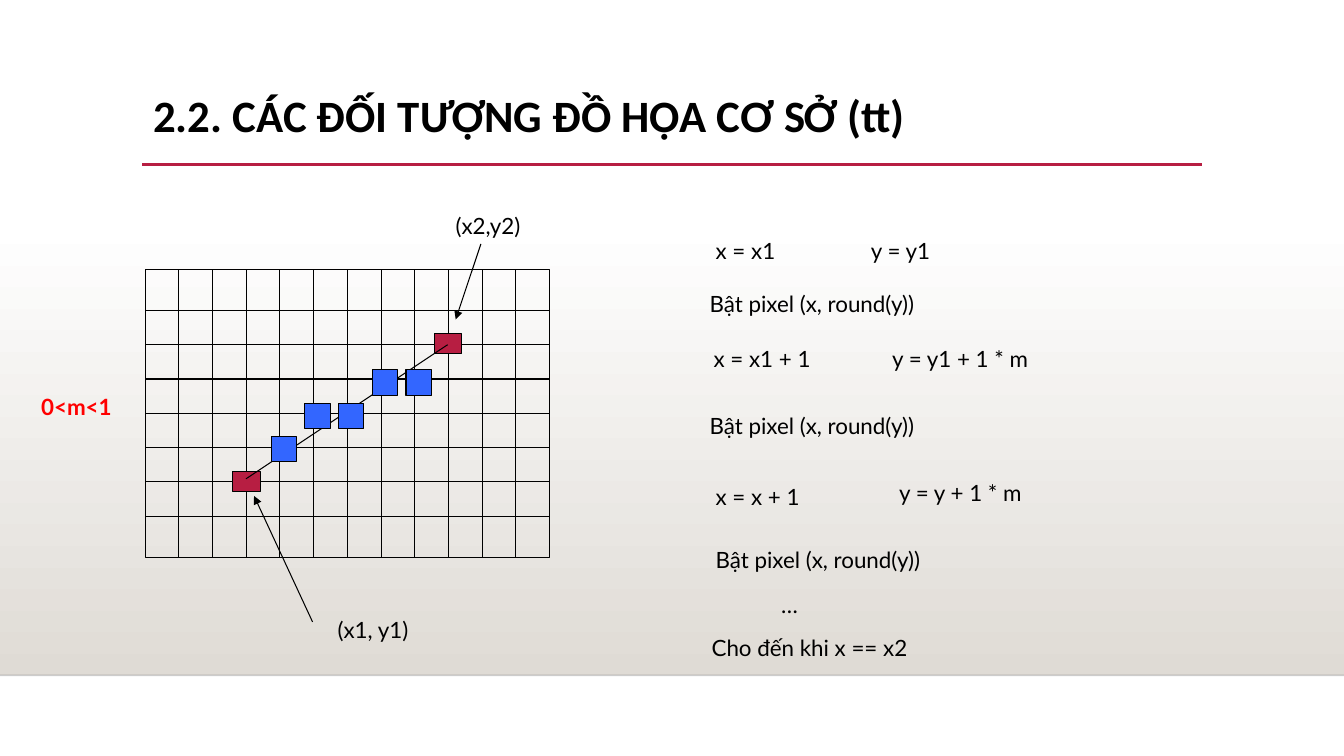
"""Builds the slide on drawing a line pixel by pixel."""
import pptx
import pptx.util
import pptx.dml.color
import pptx.enum.shapes
import pptx.enum.text
import pptx.oxml.ns
import lxml.etree

Inches = pptx.util.Inches
Pt = pptx.util.Pt
color = pptx.dml.color.RGBColor.from_string
qn = pptx.oxml.ns.qn
rect = pptx.enum.shapes.MSO_SHAPE.RECTANGLE

deck = pptx.Presentation()
deck.slide_width = Inches(13.33)
deck.slide_height = Inches(7.5)
slide = deck.slides.add_slide(deck.slide_layouts[5])
shapes = slide.shapes


def write(frame, text, size=16, font="Lato", ink="000000", bold=False, tab=None):
    para = frame.paragraphs[0]
    para.text = text
    para.alignment = pptx.enum.text.PP_ALIGN.LEFT
    if tab:
        stops = lxml.etree.SubElement(para._p.get_or_add_pPr(), qn("a:tabLst"))
        lxml.etree.SubElement(stops, qn("a:tab"), pos=str(Inches(tab)), algn="l")
    para.font.name = font
    para.font.size = Pt(size)
    para.font.bold = bold
    para.font.color.rgb = color(ink)
    return para


def draw(x1, y1, x2, y2, ink="000000", width=0.75, arrow=False, alpha=None):
    ends = [Inches(v) for v in (x1, y1, x2, y2)]
    line = shapes.add_connector(pptx.enum.shapes.MSO_CONNECTOR.STRAIGHT, *ends)
    line.line.color.rgb = color(ink)
    line.line.width = Pt(width)
    props = line._element.spPr
    if alpha:
        tint = props.find(".//" + qn("a:srgbClr"))
        lxml.etree.SubElement(tint, qn("a:alpha"), val=str(alpha * 1000))
    if arrow:
        lxml.etree.SubElement(props.find(qn("a:ln")), qn("a:tailEnd"), type="triangle")
    lxml.etree.SubElement(props, qn("a:effectLst"))


shade = shapes.add_shape(rect, 0, Inches(2.21), deck.slide_width, Inches(4.49))
shade.shadow.inherit = False
shade.line.fill.background()
shade.fill.gradient()
shade.fill.gradient_angle = 270
for stop, tone, place in zip(shade.fill.gradient_stops, ("FFFFFF", "DFDBD5"), (0, 1)):
    stop.color.rgb = color(tone)
    stop.position = place
draw(0, 6.7, 13.33, 6.7, ink="000001", width=1, alpha=20)

title = shapes.title
title.left, title.top = Inches(1.42), Inches(0.88)
title.width, title.height = Inches(10.5), Inches(1.15)
title.text_frame.auto_size = pptx.enum.text.MSO_AUTO_SIZE.NONE
title.text_frame.vertical_anchor = pptx.enum.text.MSO_ANCHOR.TOP
head = write(title.text_frame, "2.2. CÁC ĐỐI TƯỢNG ĐỒ HỌA CƠ SỞ (tt)",
             size=32, font="Calibri", bold=True)
head.line_spacing = 0.9
draw(1.41, 1.63, 11.92, 1.63, ink="B71E42", width=2.5)

left, top, wide, high = 1.44, 2.67, 4.01, 2.86
step = wide / 12
for col in range(1, 12):
    x = left + col * step
    draw(x, top, x, top + high)
for row in range(7):
    y = 3.08 + row * 0.34
    draw(left, y, left + wide, y)

boxes = [(left, top, wide, high, None)]
boxes += [(x, y, 0.27, 0.2, "B71E42") for x, y in ((2.31, 4.68), (4.31, 3.31))]
blues = [(2.69 + i * step, 4.33 - (i + 1) // 2 * 0.33, 0.25, 0.25, "3366FF")
         for i in range(5)]
for group in (boxes, blues):
    for x, y, w, h, fill in group:
        box = shapes.add_shape(rect, Inches(x), Inches(y), Inches(w), Inches(h))
        box.shadow.inherit = False
        box.line.color.rgb = color("000000")
        box.line.width = Pt(0.75)
        if fill:
            box.fill.solid()
            box.fill.fore_color.rgb = color(fill)
        else:
            box.fill.background()
    if group is boxes:
        draw(2.44, 4.75, 4.44, 3.42)

draw(3.1, 6.17, 2.52, 4.92, arrow=True)
draw(4.77, 2.42, 4.52, 3.17, arrow=True)

pixel = "Bật pixel (x, round(y))"
labels = [
    (4.42, 2.06, 0.91, "(x2,y2)", {}),
    (3.25, 6.06, 0.98, "(x1, y1)", {}),
    (0.31, 3.85, 1.07, "0<m<1", {"ink": "FF0000", "bold": True}),
    (7, 2.3, 2.67, "x = x1\ty = y1", {"tab": 1.54}),
    (6.94, 2.83, 2.47, pixel, {}),
    (6.98, 3.38, 1.34, "x = x1 + 1", {}),
    (8.75, 3.37, 1.87, "y = y1 + 1 * m", {}),
    (6.94, 4.04, 2.4, pixel, {}),
    (7, 4.74, 1.14, "x = x + 1", {}),
    (8.82, 4.7, 1.73, "y = y + 1 * m", {}),
    (7, 5.37, 2.4, pixel, {}),
    (7.65, 5.82, 0.38, "…", {}),
    (6.96, 6.24, 2.26, "Cho đến khi x == x2", {}),
]
for x, y, w, text, style in labels:
    label = shapes.add_textbox(Inches(x), Inches(y), Inches(w), Inches(0.37))
    label.text_frame.word_wrap = True
    write(label.text_frame, text, **style)

deck.save("out.pptx")
